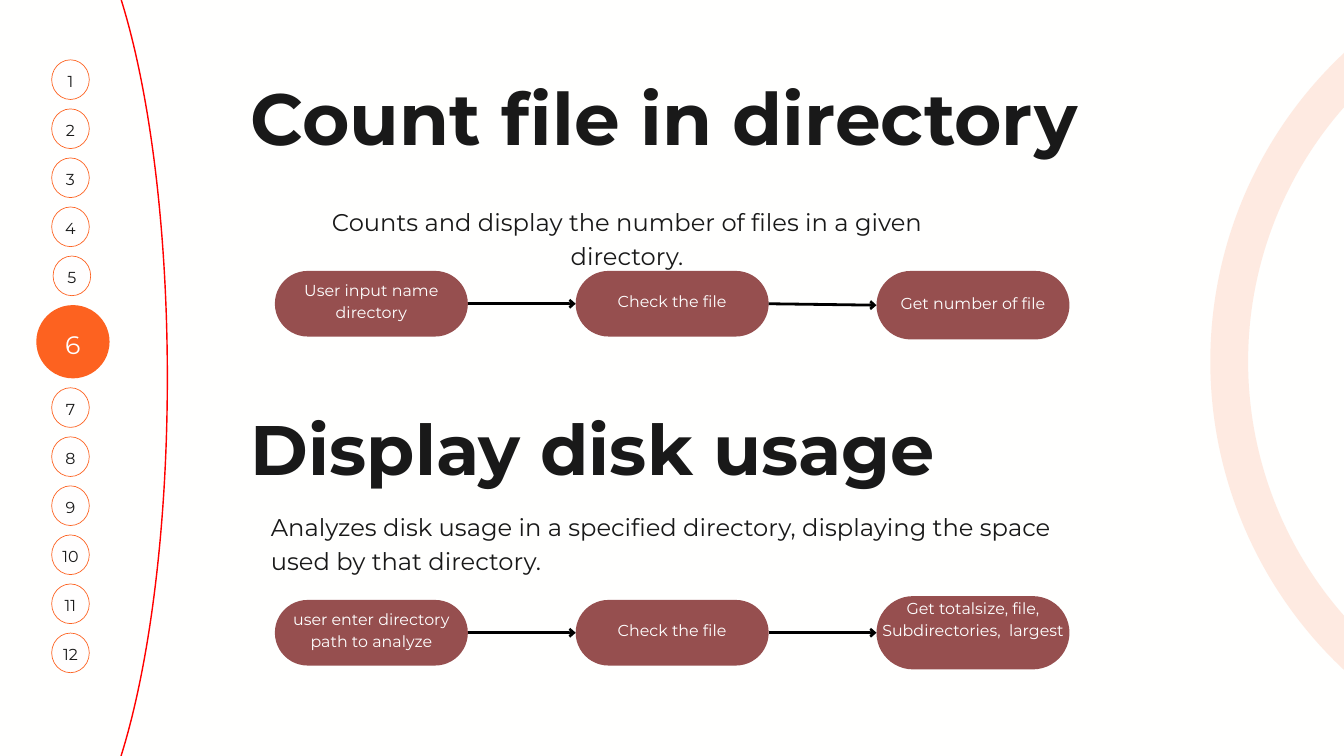
from dataclasses import dataclass

from lxml.etree import SubElement
from pptx import Presentation
from pptx.dml.color import RGBColor as RGB
from pptx.enum.shapes import MSO_CONNECTOR as Link, MSO_SHAPE as Form
from pptx.enum.text import MSO_ANCHOR as Anchor, PP_ALIGN as Align
from pptx.oxml.ns import qn
from pptx.util import Pt


@dataclass(frozen=True)
class Theme:
    font: str = "Montserrat"
    back: RGB = RGB.from_string("FFFFFE")
    dark: RGB = RGB.from_string("191919")
    light: RGB = RGB.from_string("FFFEFE")
    white: RGB = RGB.from_string("FFFFFF")
    black: RGB = RGB.from_string("000000")
    brand: RGB = RGB.from_string("FD6220")
    red: RGB = RGB.from_string("FF0000")
    wine: RGB = RGB.from_string("964F4F")
    body: float = 25.9
    small: float = 17
    big: float = 27


T = Theme()


def write(frame, lines, size, color, lead, align=Align.LEFT, bold=False, pad=0, anchor=Anchor.TOP):
    frame.word_wrap = True
    frame.vertical_anchor = anchor
    frame.margin_left = frame.margin_right = Pt(pad)
    frame.margin_top = frame.margin_bottom = Pt(pad)
    frame.text = "\n".join(lines)
    for para in frame.paragraphs:
        para.alignment = align
        para.line_spacing = Pt(lead)
        font = para.font
        font.name, font.size, font.bold = T.font, Pt(size), bold
        font.color.rgb = color


def label(slide, box, lines, *style, **more):
    frame = slide.shapes.add_textbox(*map(Pt, box)).text_frame
    write(frame, lines, *style, **more)
    return frame


def shape(slide, form, box, fill=None, line=None, width=0.75):
    item = slide.shapes.add_shape(form, *map(Pt, box))
    item.shadow.inherit = False
    if fill is None:
        item.fill.background()
    else:
        item.fill.solid()
        item.fill.fore_color.rgb = fill
    if line is None:
        item.line.fill.background()
    else:
        item.line.color.rgb = line
        item.line.width = Pt(width)
    return item


def ring(slide, box):
    item = shape(slide, Form.OVAL, box, line=T.brand, width=40.5)
    tint = item.line.fill.fore_color._xFill.find(qn("a:srgbClr"))
    SubElement(tint, qn("a:alpha")).set("val", "12000")


def arrow(slide, start, end):
    line = slide.shapes.add_connector(Link.STRAIGHT, 0, 0, 0, 0)
    line.begin_connect(start, 3)
    line.end_connect(end, 1)
    line.line.color.rgb = T.black
    line.line.width = Pt(3)
    tail = SubElement(line.line._get_or_add_ln(), qn("a:tailEnd"))
    tail.set("type", "arrow")
    tail.set("len", "sm")
    SubElement(line._element.spPr, qn("a:effectLst"))


def flow(slide, x, y, steps):
    wide, pitch, rise, lead = 206.8, 322.3, 8.64, 23.8
    last = None
    for i, (text, shift, high, spare) in enumerate(steps):
        left, top = x + i * pitch, y + shift
        pill = shape(slide, Form.ROUNDED_RECTANGLE, (left, top, wide, high), T.wine)
        pill.adjustments[0] = 0.5
        frame = label(slide, (left, top - rise, wide, high + rise), [text], T.small, T.white,
                      lead, Align.CENTER, pad=4, anchor=Anchor.MIDDLE)
        frame.margin_bottom = Pt(4 + spare * lead)
        if last is not None:
            arrow(slide, last, pill)
        last = pill


def rail(slide, x, y, count, now):
    wide, high, pitch, extra, disc = 40.3, 42.5, 52.56, 36, 78.5
    shape(slide, Form.OVAL, (x - 151.9, y - 187.2, 275.8, 1055.5), line=T.red, width=1.5)
    for n in range(1, count + 1):
        top = y + (n - 1) * pitch
        if n == now:
            dot = shape(slide, Form.OVAL, (x - 16.5, top, disc, disc), T.brand)
            style = T.big, T.light, 37.8
        else:
            left = x + (1.5 if n == now - 1 else 0)
            drop = extra if n > now else 0
            dot = shape(slide, Form.OVAL, (left, top + drop, wide, high), T.light, T.brand)
            style = T.small, T.dark, 23.8
        write(dot.text_frame, [str(n)], *style, Align.CENTER, anchor=Anchor.MIDDLE)


def count_part(slide, x, y):
    label(slide, (x, y, 923.8, 85.7), ["Count file in directory"], 77.6, T.dark, 83.9, bold=True)
    label(slide, (x + 25.9, y + 129.6, 754.6, 72.4),
          ["Counts and display the number of files in a given directory."],
          T.body, T.dark, 36.2, Align.CENTER)
    flow(slide, x + 25.9, y + 202.5, [
        ("User input name directory", 0, 70.3, 0),
        ("Check the file", 0, 70.3, 0),
        ("Get number of file", 0, 73.4, 0),
    ])


def disk_part(slide, x, y):
    label(slide, (x, y, 755.3, 101.5), ["Display disk usage"], 75, T.dark, 105, bold=True)
    label(slide, (x + 21.6, y + 125.3, 843.1, 72.4),
          ["Analyzes disk usage in a specified directory, displaying the space",
           "used by that directory."], T.body, T.dark, 36.2)
    flow(slide, x + 25.9, y + 223.8, [
        ("user enter directory path to analyze", 0, 70.3, 0),
        ("Check the file", 0, 70.3, 0),
        ("Get totalsize, file, Subdirectories,  largest", -4.1, 78.5, 1),
    ])


def main():
    deck = Presentation()
    deck.slide_width, deck.slide_height = Pt(1440), Pt(810)
    slide = deck.slides.add_slide(deck.slide_layouts[6])
    slide.background.fill.solid()
    slide.background.fill.fore_color.rgb = T.back
    ring(slide, (1317, -45.4, 865.4, 865.4))
    count_part(slide, 268.6, 87.8)
    rail(slide, 55.4, 64.1, 12, 6)
    disk_part(slide, 268.6, 419)
    deck.save("out.pptx")


if __name__ == "__main__":
    main()
